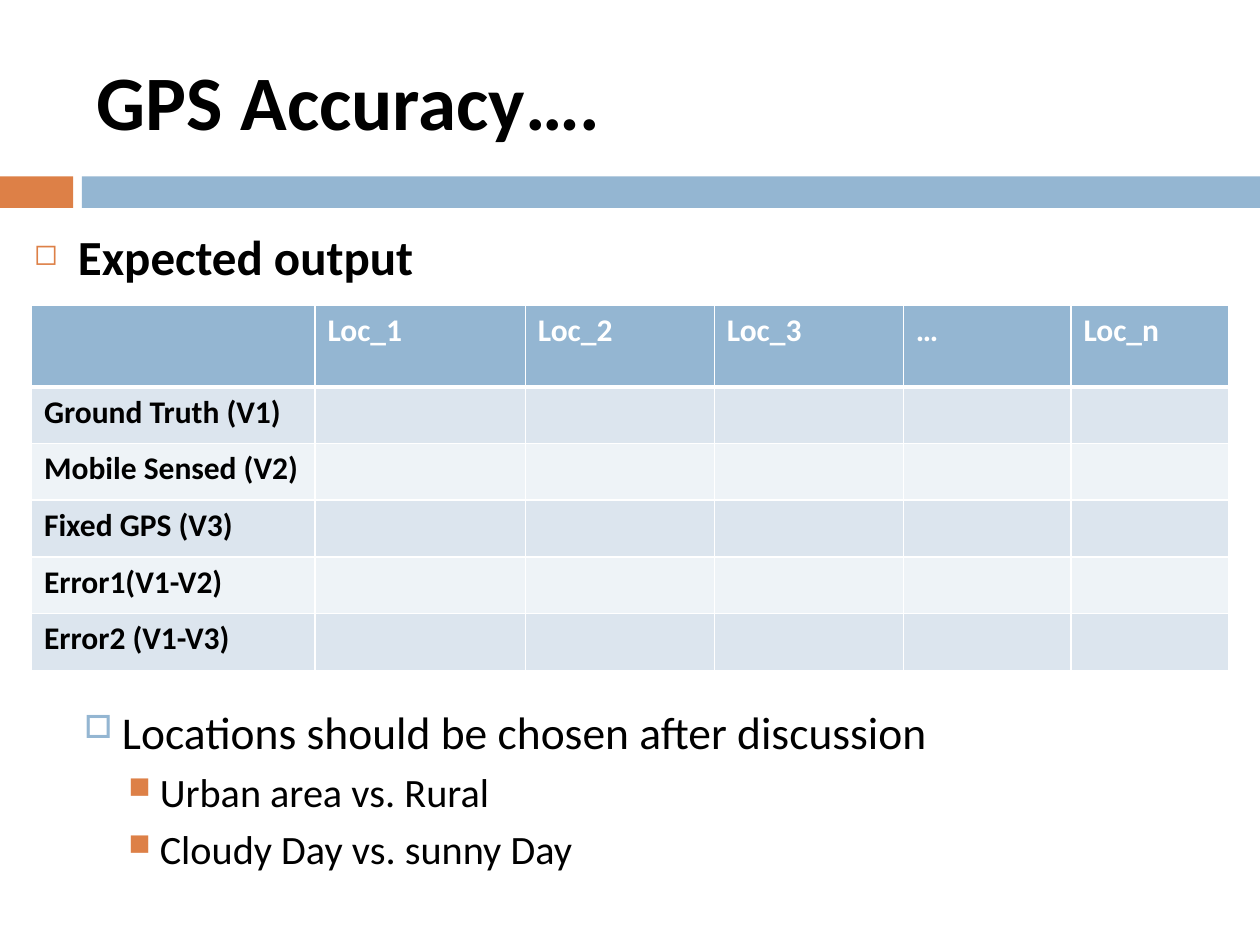
from dataclasses import dataclass

from lxml import etree
from pptx import Presentation
from pptx.dml.color import RGBColor
from pptx.enum.shapes import MSO_SHAPE
from pptx.enum.text import MSO_ANCHOR
from pptx.oxml.ns import qn
from pptx.util import Inches, Pt

RECTANGLE = MSO_SHAPE.RECTANGLE
MIDDLE, TOP = MSO_ANCHOR.MIDDLE, MSO_ANCHOR.TOP
BLANK_LAYOUT = 6


@dataclass(frozen=True)
class Theme:
    font: str = "Calibri"
    text: str = "000000"
    white: str = "FFFFFF"
    blue: str = "94B6D2"
    orange: str = "DD8047"
    bands: tuple = ("DCE5EE", "EEF3F7")
    title_size: float = 44
    table_size: float = 18


@dataclass(frozen=True)
class Level:
    """Look of one outline level: inches for indents, points for size and gap."""
    size: float
    bold: bool
    left: float
    hanging: float
    gap: float
    bullet: str
    bullet_color: str
    bullet_percent: int


THEME = Theme()
LEVELS = (
    Level(28, True, 0.35, 0.35, 7, "◻", THEME.orange, 60),
    Level(26, False, 0.7, 0.3, 5.5, "□", THEME.blue, 70),
    Level(23, False, 1, 0.25, 5, "■", THEME.orange, 75),
)
TABLE_GAP = 239  # points kept free for the table between two paragraphs
OUTLINE = (
    (0, "Expected output", None),
    (1, "Locations should be chosen after discussion", TABLE_GAP),
    (2, "Urban area vs. Rural", None),
    (2, "Cloudy Day vs. sunny Day", None),
)
HEADINGS = ("", "Loc_1", "Loc_2", "Loc_3", "…", "Loc_n")
ROW_LABELS = ("Ground Truth (V1)", "Mobile Sensed (V2)", "Fixed GPS (V3)",
              "Error1(V1-V2)", "Error2 (V1-V3)")
COLUMN_WIDTHS = (2.25, 1.67, 1.5, 1.5, 1.33, 1.25)
HEADER_HEIGHT, ROW_HEIGHT = 0.65, 0.45


def paint(fill, color):
    fill.solid()
    fill.fore_color.rgb = RGBColor.from_string(color)


def style_font(font, size, bold, color=THEME.text):
    font.name = THEME.font
    font.size = Pt(size)
    font.bold = bold
    font.color.rgb = RGBColor.from_string(color)


def add_bar(page, left, width, color):
    bar = page.shapes.add_shape(RECTANGLE, Inches(left), Inches(1.4),
                                Inches(width), Inches(0.25))
    bar.shadow.inherit = False
    paint(bar.fill, color)
    bar.line.fill.background()


def add_text_frame(page, left, top, width, height, anchor):
    box = page.shapes.add_textbox(Inches(left), Inches(top),
                                  Inches(width), Inches(height))
    frame = box.text_frame
    frame.word_wrap = True
    frame.vertical_anchor = anchor
    return frame


def add_title(page, text):
    para = add_text_frame(page, 0.67, 0.25, 8.92, 1.08, MIDDLE).paragraphs[0]
    para.text = text
    style_font(para.font, THEME.title_size, True)


def set_bullet(para, level):
    properties = para._p.get_or_add_pPr()
    properties.set("marL", str(Inches(level.left)))
    properties.set("indent", str(-Inches(level.hanging)))
    color = etree.Element(qn("a:buClr"))
    etree.SubElement(color, qn("a:srgbClr"), val=level.bullet_color)
    size = etree.Element(qn("a:buSzPct"), val=str(level.bullet_percent * 1000))
    mark = etree.Element(qn("a:buChar"), char=level.bullet)
    spacing = properties.find(qn("a:spcBef"))
    for element in (mark, size, color):
        spacing.addnext(element)


def add_outline(page, items):
    frame = add_text_frame(page, 0.17, 1.75, 9.5, 5.58, TOP)
    for index, (depth, text, gap) in enumerate(items):
        para = frame.add_paragraph() if index else frame.paragraphs[0]
        level = LEVELS[depth]
        para.text = text
        para.level = depth
        para.space_before = Pt(gap or level.gap)
        style_font(para.font, level.size, level.bold)
        set_bullet(para, level)


def set_borders(cell, bottom_width):
    properties = cell._tc.get_or_add_tcPr()
    widths = (("a:lnL", 1), ("a:lnR", 1), ("a:lnT", 1), ("a:lnB", bottom_width))
    for position, (tag, width) in enumerate(widths):
        line = etree.Element(qn(tag), w=str(Pt(width)))
        fill = etree.SubElement(line, qn("a:solidFill"))
        etree.SubElement(fill, qn("a:srgbClr"), val=THEME.white)
        properties.insert(position, line)


def add_output_table(page):
    rows = [HEADINGS] + [(label,) + ("",) * (len(HEADINGS) - 1)
                         for label in ROW_LABELS]
    heights = [HEADER_HEIGHT] + [ROW_HEIGHT] * len(ROW_LABELS)
    table = page.shapes.add_table(
        len(rows), len(HEADINGS), Inches(0.25), Inches(2.42),
        Inches(sum(COLUMN_WIDTHS)), Inches(sum(heights))).table
    for column, width in zip(table.columns, COLUMN_WIDTHS):
        column.width = Inches(width)
    for index, (texts, height) in enumerate(zip(rows, heights)):
        header = index == 0
        table.rows[index].height = Inches(height)
        for cell, text in zip(table.rows[index].cells, texts):
            cell.text = text
            paint(cell.fill, THEME.blue if header else THEME.bands[(index - 1) % 2])
            style_font(cell.text_frame.paragraphs[0].font, THEME.table_size, True,
                       THEME.white if header else THEME.text)
            set_borders(cell, 3 if header else 1)


def main():
    deck = Presentation()
    deck.slide_width, deck.slide_height = Inches(10), Inches(7.5)
    page = deck.slides.add_slide(deck.slide_layouts[BLANK_LAYOUT])
    add_bar(page, 0, 0.58, THEME.orange)
    add_bar(page, 0.65, 9.35, THEME.blue)
    add_title(page, "GPS Accuracy….")
    add_outline(page, OUTLINE)
    add_output_table(page)
    deck.save("out.pptx")


if __name__ == "__main__":
    main()
